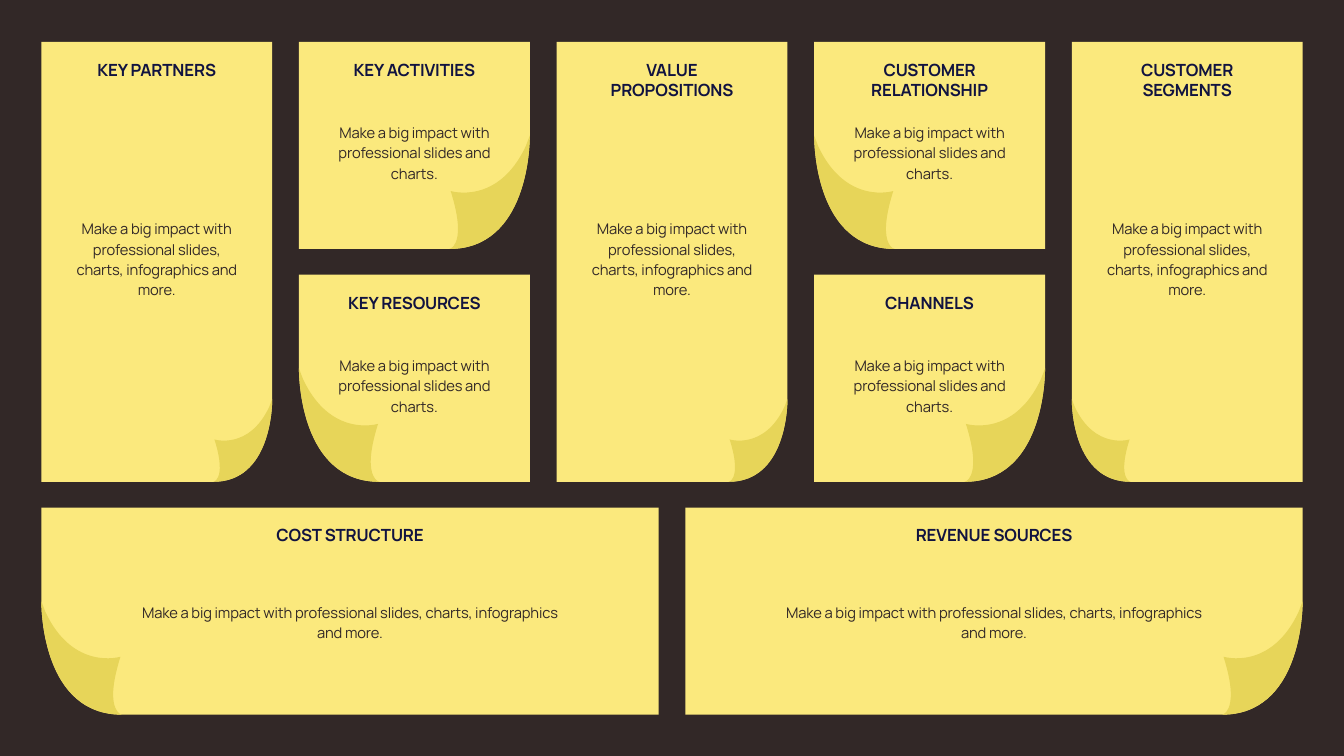
from dataclasses import dataclass

from pptx import Presentation
from pptx.dml.color import RGBColor
from pptx.enum.shapes import MSO_SHAPE
from pptx.enum.text import MSO_ANCHOR, MSO_AUTO_SIZE, PP_ALIGN
from pptx.oxml.ns import qn
from pptx.oxml.xmlchemy import OxmlElement
from pptx.util import Inches, Pt

RECTANGLE = MSO_SHAPE.RECTANGLE
CENTER = PP_ALIGN.CENTER
TOP, MIDDLE = MSO_ANCHOR.TOP, MSO_ANCHOR.MIDDLE
GROW = MSO_AUTO_SIZE.SHAPE_TO_FIT_TEXT

SLIDE_W, SLIDE_H = 26.66, 15
LEFT_MARGIN, TOP_MARGIN = 0.82, 0.83
COL_STEP, COL_GAP = 5.11, 0.53
ROW_STEP, ROW_GAP = 4.62, 0.51
TITLE_OFFSET = 0.3


@dataclass(frozen=True)
class Theme:
    font: str = "Manrope"
    board: str = "322827"
    paper: str = "FBE97D"
    curl: str = "E7D559"
    title: str = "111340"
    body: str = "322827"
    title_size: float = 24
    body_size: float = 21
    body_leading: float = 29
    spacing: float = -0.2


@dataclass(frozen=True)
class Format:
    """Size of a note in grid cells, with the text widths and curl that suit it."""
    cols: float
    rows: int
    title_w: float
    body_w: float
    body_h: float
    body_mid: float
    curl_scale: float


THEME = Theme()
TALL = Format(1, 2, 3.6, 3.6, 1.71, 4.29, 0.73)
SHORT = Format(1, 1, 3.6, 3.7, 1.3, 2.18, 1)
WIDE = Format(2.5, 1, 8.49, 8.49, 0.9, 2.26, 1)

LONG_TEXT = "Make a big impact with professional slides, charts, infographics and more."
SHORT_TEXT = "Make a big impact with professional slides and charts."

# title, text, format, column, row, side of the curled corner
NOTES = [
    ("KEY PARTNERS", LONG_TEXT, TALL, 0, 0, "right"),
    ("KEY ACTIVITIES", SHORT_TEXT, SHORT, 1, 0, "right"),
    ("KEY RESOURCES", SHORT_TEXT, SHORT, 1, 1, "left"),
    ("VALUE PROPOSITIONS", LONG_TEXT, TALL, 2, 0, "right"),
    ("CUSTOMER RELATIONSHIP", SHORT_TEXT, SHORT, 3, 0, "left"),
    ("CHANNELS", SHORT_TEXT, SHORT, 3, 1, "right"),
    ("CUSTOMER SEGMENTS", LONG_TEXT, TALL, 4, 0, "left"),
    ("COST STRUCTURE", LONG_TEXT, WIDE, 0, 2, "left"),
    ("REVENUE SOURCES", LONG_TEXT, WIDE, 2.5, 2, "right"),
]

# Inches inwards from the curled side and up from the bottom:
# a start point, then three points for each cubic curve
EDGE = [(0, 2.25), (0, 2.05), (0.04, 0), (1.6, 0)]
FOLD = [
    (1.6, 0), (1.52, 0.01), (1.47, 0.13),
    (1.41, 0.27), (1.38, 0.55), (1.57, 1.15),
    (1.57, 1.15), (0.63, 0.86), (0.08, 2.04),
    (0.05, 2.11), (0.03, 2.18), (0, 2.25),
]


def paint(sp, color):
    sp.shadow.inherit = False
    sp.fill.solid()
    sp.fill.fore_color.rgb = RGBColor.from_string(color)
    sp.line.fill.background()


def add_outline(shapes, curved, corners, color):
    """Draw cubic curves through the curved points, then straight lines to the corners."""
    start, *rest = [(Inches(x), Inches(y)) for x, y in curved + corners]
    builder = shapes.build_freeform(*start)
    builder.add_line_segments(rest)
    sp = builder.convert_to_shape()
    lines = list(sp._element.iter(qn("a:lnTo")))[:len(curved) - 1]
    for i in range(0, len(lines), 3):
        curve = OxmlElement("a:cubicBezTo")
        lines[i].addprevious(curve)
        for line in lines[i:i + 3]:
            curve.append(line[0])
            line.getparent().remove(line)
    paint(sp, color)


def add_paper(slide, x, y, w, h, side, scale):
    """Draw a sheet with one bottom corner rounded off and folded up."""
    def place(points):
        return [(x + w - u if side == "right" else x + u, y + h - v) for u, v in points]

    edge, curl = ([(u * scale, v * scale) for u, v in points]
                  for points in (EDGE, EDGE + FOLD))
    group = slide.shapes.add_group_shape()
    add_outline(group.shapes, place(edge), place([(w, 0), (w, h), (0, h)]), THEME.paper)
    add_outline(group.shapes, place(curl), [], THEME.curl)


def add_label(slide, text, x, y, w, h, anchor, size, color, bold=False, leading=None):
    tf = slide.shapes.add_textbox(Inches(x), Inches(y), Inches(w), Inches(h)).text_frame
    tf.word_wrap = True
    tf.auto_size = GROW
    tf.vertical_anchor = anchor
    tf.text = text
    p = tf.paragraphs[0]
    p.alignment = CENTER
    if leading:
        p.line_spacing = Pt(leading)
    r = p.runs[0]
    r.font.name = THEME.font
    r.font.size = Pt(size)
    r.font.bold = bold
    r.font.color.rgb = RGBColor.from_string(color)
    r.font._element.set("spc", str(round(THEME.spacing * 100)))


def add_note(slide, title, text, fmt, col, row, side):
    x, y = LEFT_MARGIN + col * COL_STEP, TOP_MARGIN + row * ROW_STEP
    w, h = fmt.cols * COL_STEP - COL_GAP, fmt.rows * ROW_STEP - ROW_GAP
    add_paper(slide, x, y, w, h, side, fmt.curl_scale)
    title_h = 0.91 if fmt.cols == 1 and len(title) > 14 else 0.5
    add_label(slide, title, x + (w - fmt.title_w) / 2, y + TITLE_OFFSET, fmt.title_w, title_h,
              TOP, THEME.title_size, THEME.title, bold=True)
    add_label(slide, text, x + (w - fmt.body_w) / 2, y + fmt.body_mid - fmt.body_h / 2,
              fmt.body_w, fmt.body_h, MIDDLE, THEME.body_size, THEME.body,
              leading=THEME.body_leading)


def main():
    prs = Presentation()
    prs.slide_width, prs.slide_height = Inches(SLIDE_W), Inches(SLIDE_H)
    slide = prs.slides.add_slide(prs.slide_layouts[6])
    board = slide.shapes.add_shape(RECTANGLE, 0, 0, prs.slide_width, prs.slide_height)
    paint(board, THEME.board)
    for note in NOTES:
        add_note(slide, *note)
    prs.save("out.pptx")


if __name__ == "__main__":
    main()
